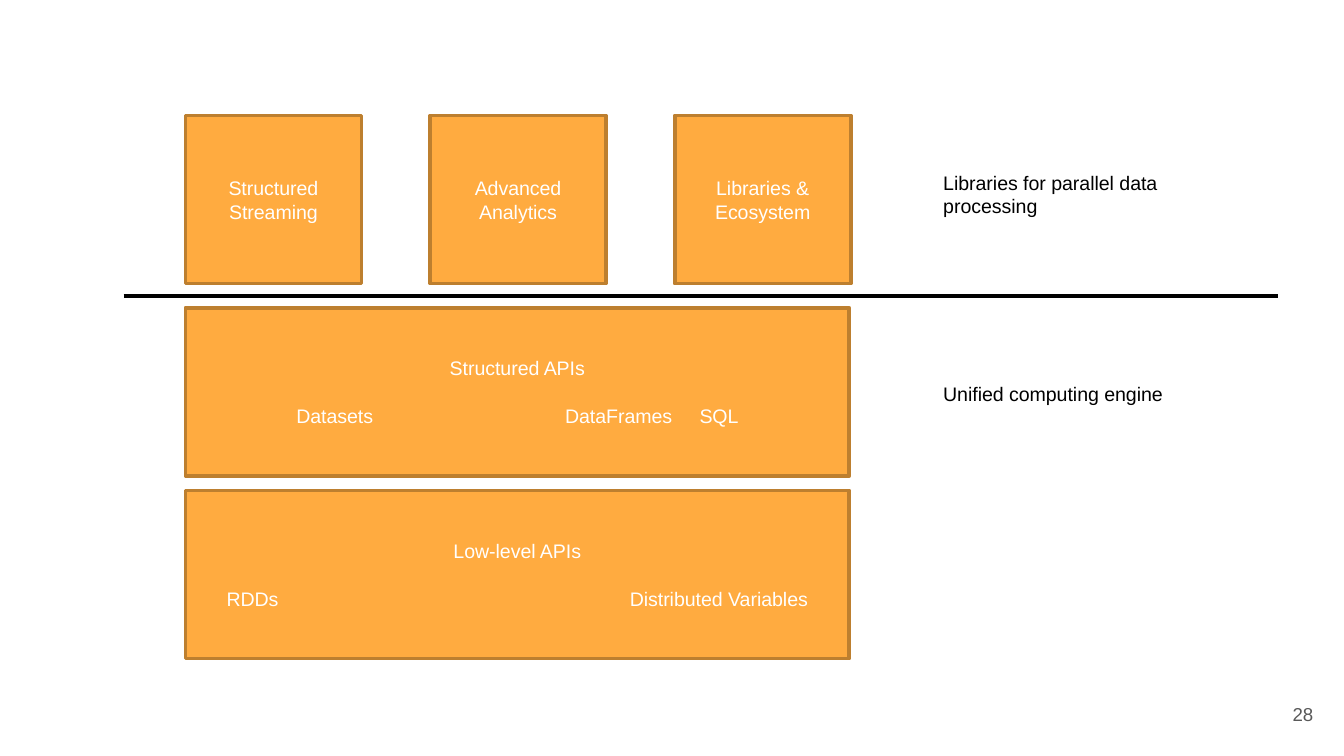
from dataclasses import dataclass

from lxml import etree
from pptx import Presentation
from pptx.dml.color import RGBColor
from pptx.enum.shapes import MSO_CONNECTOR, MSO_SHAPE
from pptx.enum.text import MSO_ANCHOR, PP_ALIGN
from pptx.oxml.ns import qn
from pptx.slide import Slide
from pptx.text.text import TextFrame
from pptx.util import Inches, Pt

RECTANGLE = MSO_SHAPE.RECTANGLE
STRAIGHT = MSO_CONNECTOR.STRAIGHT
TOP, MIDDLE = MSO_ANCHOR.TOP, MSO_ANCHOR.MIDDLE
LEFT, CENTER, RIGHT = PP_ALIGN.LEFT, PP_ALIGN.CENTER, PP_ALIGN.RIGHT

COLORS = {
    "box": "FFAB40",
    "border": "BD7F2F",
    "box_text": "FFFFFF",
    "text": "000000",
    "number": "595959",
}
FONT = "Arial"
TEXT_SIZE = 10.5
BOX_LEFT, BOX_HEIGHT = 1.38, 1.25
TAB_STOPS = (1, 2, 3)


@dataclass
class Box:
    left: float
    top: float
    width: float
    title: str
    items: str = ""


@dataclass
class Label:
    left: float
    top: float
    width: float
    height: float
    text: str
    size: float = TEXT_SIZE
    color: str = "text"
    alignment: PP_ALIGN = LEFT
    anchor: MSO_ANCHOR = TOP


def color(name: str) -> RGBColor:
    return RGBColor.from_string(COLORS[name])


def format_text(frame: TextFrame, size: float, color_name: str,
                alignment: PP_ALIGN, anchor: MSO_ANCHOR) -> None:
    frame.word_wrap = True
    frame.vertical_anchor = anchor
    for paragraph in frame.paragraphs:
        paragraph.alignment = alignment
        for run in paragraph.runs:
            run.font.name = FONT
            run.font.size = Pt(size)
            run.font.color.rgb = color(color_name)


def draw_box(slide: Slide, box: Box) -> None:
    shape = slide.shapes.add_shape(
        RECTANGLE, Inches(box.left), Inches(box.top),
        Inches(box.width), Inches(BOX_HEIGHT))
    shape.shadow.inherit = False
    shape.fill.solid()
    shape.fill.fore_color.rgb = color("box")
    shape.line.color.rgb = color("border")
    shape.line.width = Pt(2)
    frame = shape.text_frame
    frame.text = box.title
    if box.items:
        paragraph = frame.add_paragraph()
        paragraph.text = box.items
        paragraph.space_before = Pt(13)
        # Tab stops, one inch apart
        tab_list = etree.SubElement(
            paragraph._p.get_or_add_pPr(), qn("a:tabLst"))
        for stop in TAB_STOPS:
            etree.SubElement(tab_list, qn("a:tab"),
                             pos=str(Inches(stop)), algn="l")
    format_text(frame, TEXT_SIZE, "box_text", CENTER, MIDDLE)


def draw_label(slide: Slide, label: Label) -> None:
    text_box = slide.shapes.add_textbox(
        Inches(label.left), Inches(label.top),
        Inches(label.width), Inches(label.height))
    text_box.text_frame.text = label.text
    format_text(text_box.text_frame, label.size, label.color,
                label.alignment, label.anchor)


def draw_divider(slide: Slide, left: float, right: float, top: float) -> None:
    divider = slide.shapes.add_connector(
        STRAIGHT, Inches(left), Inches(top), Inches(right), Inches(top))
    divider.line.color.rgb = color("text")
    divider.line.width = Pt(2.25)
    etree.SubElement(divider._element.spPr, qn("a:effectLst"))


def main() -> None:
    # Widescreen slide, 16:9
    presentation = Presentation()
    presentation.slide_width = Inches(10)
    presentation.slide_height = Inches(10 * 9 / 16)
    slide = presentation.slides.add_slide(presentation.slide_layouts[6])

    # API layers
    layers = (
        Box(BOX_LEFT, 3.65, 4.94, "Low-level APIs",
            "RDDs\t\t\tDistributed Variables"),
        Box(BOX_LEFT, 2.29, 4.94, "Structured APIs",
            "Datasets\t\tDataFrames\tSQL"),
    )
    # Library boxes, evenly spaced
    library_names = ("Structured Streaming", "Advanced Analytics",
                     "Libraries & Ecosystem")
    libraries = tuple(Box(BOX_LEFT + 1.82 * column, 0.86, 1.31, name)
                      for column, name in enumerate(library_names))
    for box in layers + libraries:
        draw_box(slide, box)

    draw_divider(slide, 0.92, 9.51, 2.2)

    # Side labels and slide number
    labels = (
        Label(6.92, 1.22, 2.3, 0.45, "Libraries for parallel data processing"),
        Label(6.92, 2.79, 2.3, 0.28, "Unified computing engine"),
        Label(9.27, 5.1, 0.6, 0.43, "28", 10, "number", RIGHT, MIDDLE),
    )
    for label in labels:
        draw_label(slide, label)

    presentation.save("out.pptx")


if __name__ == "__main__":
    main()
